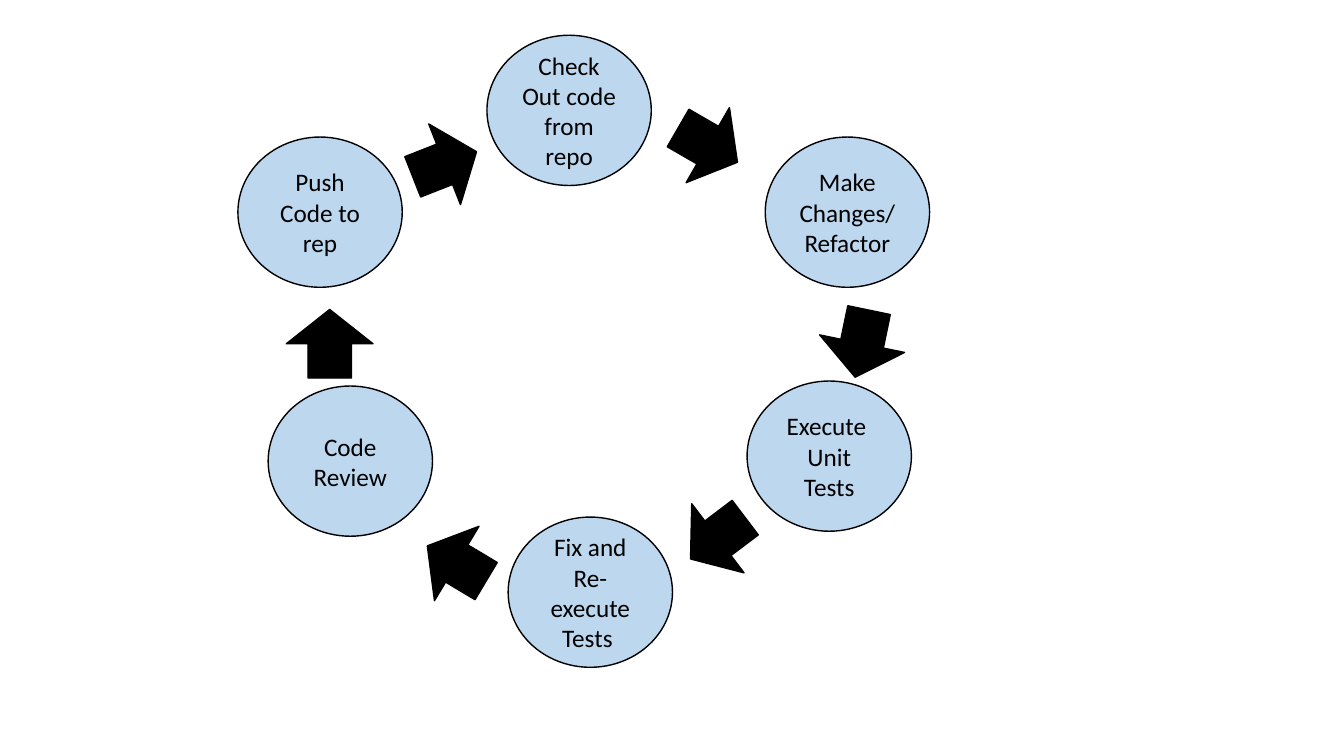
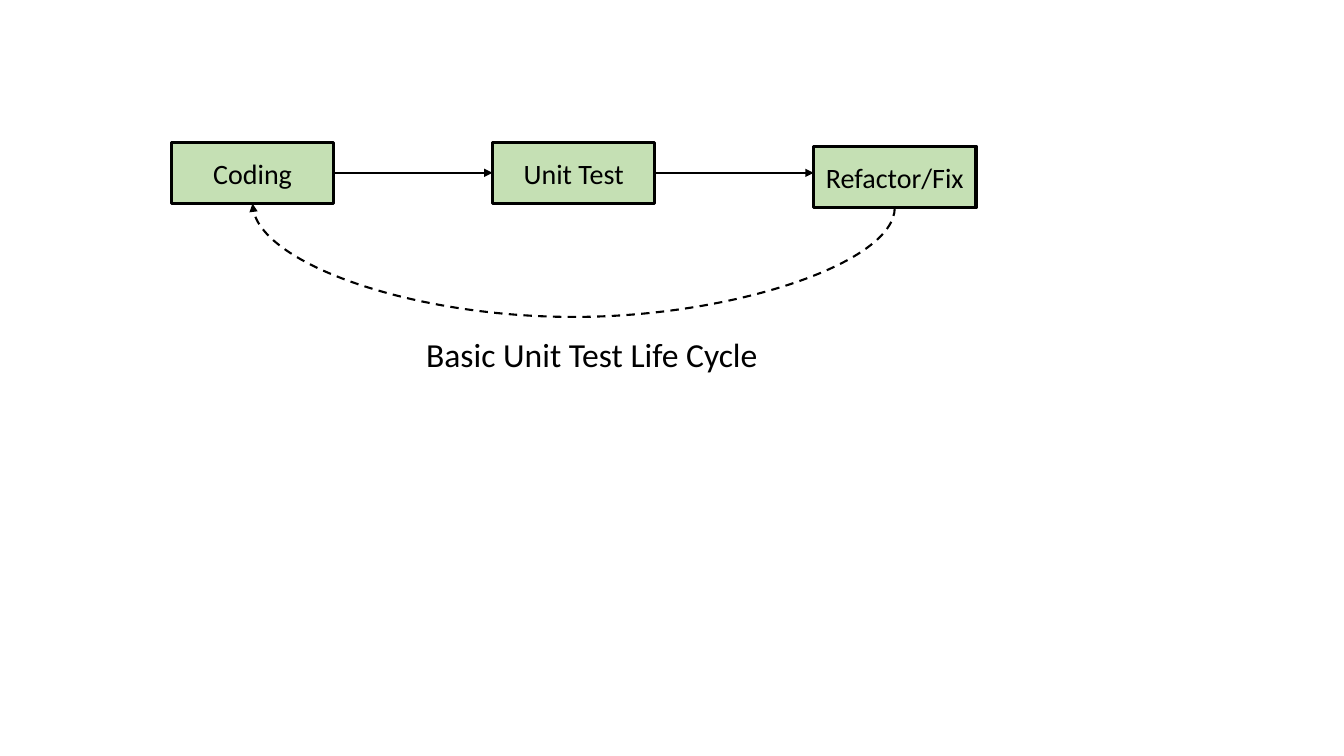
from dataclasses import dataclass
from lxml.etree import SubElement as Sub
from pptx import Presentation
from pptx.dml.color import RGBColor as RGB
from pptx.enum.dml import MSO_LINE as Dash
from pptx.enum.shapes import MSO_CONNECTOR as Conn, MSO_SHAPE as Geo
from pptx.enum.text import MSO_ANCHOR as Anchor, PP_ALIGN as Align
from pptx.oxml.ns import qn
from pptx.util import Inches as Inch, Pt


@dataclass(frozen=True)
class Theme:
    """Colours, font, type sizes and line widths of both slides."""
    ink: RGB = RGB(0, 0, 0)
    blue: RGB = RGB(0xBD, 0xD7, 0xEE)
    green: RGB = RGB(0xC5, 0xE0, 0xB4)
    font: str = "Calibri"
    small: int = 18
    mid: int = 20
    large: int = 24
    thin: float = 1
    flow: float = 1.5
    thick: float = 2.25


T = Theme()
WIDE, HIGH = 13.33, 7.5

# Cycle: text, left, top
STEPS = [
    ("Check Out code from repo", 4.83, 0.35),
    ("Make Changes/Refactor", 7.59, 1.36),
    ("Execute \nUnit Tests", 7.41, 3.78),
    ("Fix and Re-execute Tests ", 5.04, 5.13),
    ("Code Review", 2.66, 3.83),
    ("Push Code to rep", 2.36, 1.36),
]
# Arrow after each step: left, top, turn in degrees
TURNS = [
    (6.68, 1.01, 30),
    (8.21, 2.98, 101.7),
    (6.78, 4.91, 142.9),
    (4.19, 5.16, 210.9),
    (2.93, 2.98, 270),
    (4.07, 1.2, 338.5),
]
STEP, ARROW = (1.63, 1.49), (0.68, 0.86)

# Life cycle: text, drop below the row
STAGES = [("Coding", 0), ("Unit Test", 0), ("Refactor/Fix", 0.04)]
TITLE = "Basic Unit Test Life Cycle"
BOX = (1.61, 0.61)
LEFT, TOP, PITCH = 1.7, 1.41, (8.07 - 1.7) / 2
LOW = 3.14  # control height of the return curve


def write(frame, text, size):
    """Put centred text in a frame, one run per line."""
    frame.word_wrap = True
    para = frame.paragraphs[0]
    para.alignment = Align.CENTER
    for i, line in enumerate(text.split("\n")):
        if i:
            para.add_line_break()
        run = para.add_run()
        run.text = line
        run.font.name, run.font.size = T.font, Pt(size)
        run.font.color.rgb = T.ink


def block(slide, geo, at, size, fill, width):
    """Add a filled and outlined shape."""
    shape = slide.shapes.add_shape(geo, *map(Inch, (*at, *size)))
    shape.shadow.inherit = False
    shape.fill.solid()
    shape.fill.fore_color.rgb = fill
    shape.line.color.rgb = T.ink
    shape.line.width = Pt(width)
    shape.text_frame.vertical_anchor = Anchor.MIDDLE
    return shape


def link(slide, kind, start, end):
    """Add a connector with an arrowhead at its end."""
    line = slide.shapes.add_connector(kind, *map(Inch, (*start, *end)))
    line.line.color.rgb = T.ink
    line.line.width = Pt(T.flow)
    Sub(line.line._get_or_add_ln(), qn("a:tailEnd"), type="triangle")
    Sub(line._element.spPr, qn("a:effectLst"))
    return line


def loop(slide, start, end, low):
    """Add a dashed curve that hangs from start to end down to low."""
    (x1, y1), (x2, y2) = start, end
    midx, midy = (x1 + x2) / 2, (y1 + y2) / 2
    span, rise = (x1 - x2) / 2, (y1 - y2) / 2
    # Laid out upright, mirrored, then turned a quarter
    line = link(slide, Conn.CURVE, (midx + rise, midy - span),
                (midx - rise, midy + span))
    line.line.dash_style = Dash.DASH
    props = line._element.spPr
    props.find(qn("a:xfrm")).set("rot", str(90 * 60000))
    geom = props.find(qn("a:prstGeom"))
    guides = geom.find(qn("a:avLst"))
    if guides is None:
        guides = Sub(geom, qn("a:avLst"))
    bend = round(-(low - y1) / (y1 - y2) * 100000)
    Sub(guides, qn("a:gd"), name="adj1", fmla=f"val {bend}")


def cycle(slide):
    """Draw the ring of steps and the arrows between them."""
    for text, *at in STEPS:
        step = block(slide, Geo.OVAL, at, STEP, T.blue, T.thin)
        write(step.text_frame, text, T.small)
    for *at, turn in TURNS:
        arrow = block(slide, Geo.RIGHT_ARROW, at, ARROW, T.ink, T.thin)
        arrow.rotation = turn


def life(slide):
    """Draw the row of stages, its links, the return curve and the title."""
    wide, high = BOX
    cols = [LEFT + i * PITCH for i in range(len(STAGES))]
    for x, (text, drop) in zip(cols, STAGES):
        stage = block(slide, Geo.RECTANGLE, (x, TOP + drop), BOX,
                      T.green, T.thick)
        write(stage.text_frame, text, T.mid)
    mid = TOP + high / 2
    for x, after in zip(cols, cols[1:]):
        link(slide, Conn.STRAIGHT, (x + wide, mid), (after, mid))
    first, last = [(x + wide / 2, TOP + drop + high)
                   for x, (_, drop) in zip(cols, STAGES)][::2]
    loop(slide, last, first, LOW)
    title = slide.shapes.add_textbox(*map(Inch, (3.31, 3.26, 5.12, 0.5)))
    write(title.text_frame, TITLE, T.large)


deck = Presentation()
deck.slide_width, deck.slide_height = Inch(WIDE), Inch(HIGH)
for draw in (cycle, life):
    draw(deck.slides.add_slide(deck.slide_layouts[6]))
deck.save("out.pptx")
